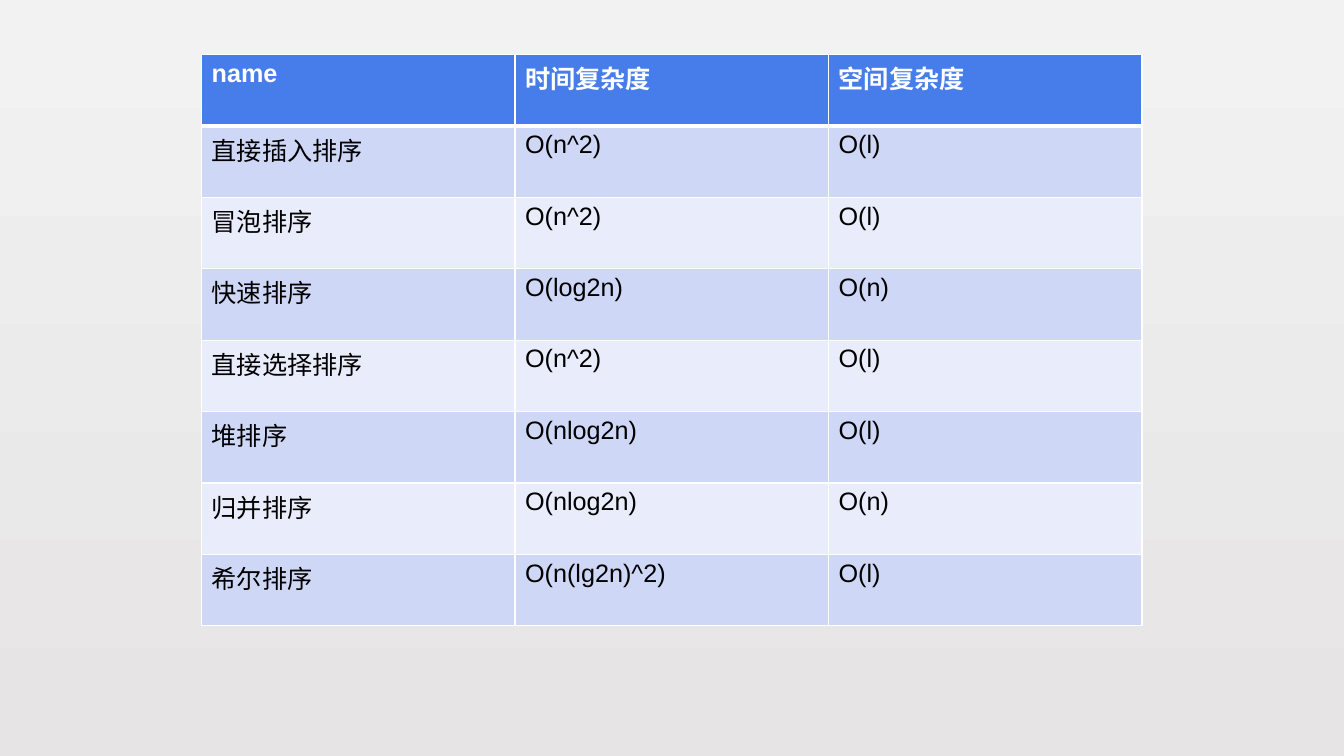
from lxml.etree import SubElement
from pptx import Presentation
from pptx.dml.color import RGBColor
from pptx.oxml.ns import qn
from pptx.util import Cm, Pt

ROWS = [
    ("name", "时间复杂度", "空间复杂度"),
    ("直接插入排序", "O(n^2)", "O(l)"),
    ("冒泡排序", "O(n^2)", "O(l)"),
    ("快速排序", "O(log2n)", "O(n)"),
    ("直接选择排序", "O(n^2)", "O(l)"),
    ("堆排序", "O(nlog2n)", "O(l)"),
    ("归并排序", "O(nlog2n)", "O(n)"),
    ("希尔排序", "O(n(lg2n)^2)", "O(l)"),
]

WHITE = RGBColor(0xFF, 0xFF, 0xFF)
BLACK = RGBColor(0x00, 0x00, 0x00)
BLUE = RGBColor(0x47, 0x7D, 0xEA)
BANDS = (RGBColor(0xE9, 0xEC, 0xFB), RGBColor(0xCF, 0xD7, 0xF7))
SKY = (RGBColor(0xF2, 0xF2, 0xF2), RGBColor(0xE6, 0xE4, 0xE4))

LEFT, TOP = 5.08, 1.37
COL_W, ROW_H = 7.9, 1.8


def add_edges(cell, row):
    """Draw white borders, thicker on the line under the header."""
    props = cell._tc.get_or_add_tcPr()
    for side in "LRTB":
        thick = (row, side) in ((0, "B"), (1, "T"))
        line = SubElement(props, qn(f"a:ln{side}"), w=str(Pt(3 if thick else 1)))
        fill = SubElement(line, qn("a:solidFill"))
        SubElement(fill, qn("a:srgbClr"), val=str(WHITE))


def fill_cell(cell, text, row):
    head = row == 0
    add_edges(cell, row)
    cell.fill.solid()
    cell.fill.fore_color.rgb = BLUE if head else BANDS[row % 2]
    run = cell.text_frame.paragraphs[0].add_run()
    run.text = text
    run.font.name = "Arial"
    run.font.size = Pt(18)
    run.font.bold = head
    run.font.color.rgb = WHITE if head else BLACK


def main():
    deck = Presentation()
    deck.slide_width, deck.slide_height = Cm(33.87), Cm(19.05)
    slide = deck.slides.add_slide(deck.slide_layouts[6])

    back = slide.background.fill
    back.gradient()
    back.gradient_angle = 270
    for stop, color in zip(back.gradient_stops, SKY):
        stop.color.rgb = color

    high, wide = len(ROWS), len(ROWS[0])
    table = slide.shapes.add_table(
        high, wide, Cm(LEFT), Cm(TOP), Cm(COL_W * wide), Cm(ROW_H * high)
    ).table
    for col in table.columns:
        col.width = Cm(COL_W)
    for r, texts in enumerate(ROWS):
        table.rows[r].height = Cm(ROW_H)
        for c, text in enumerate(texts):
            fill_cell(table.cell(r, c), text, r)

    deck.save("out.pptx")


if __name__ == "__main__":
    main()
